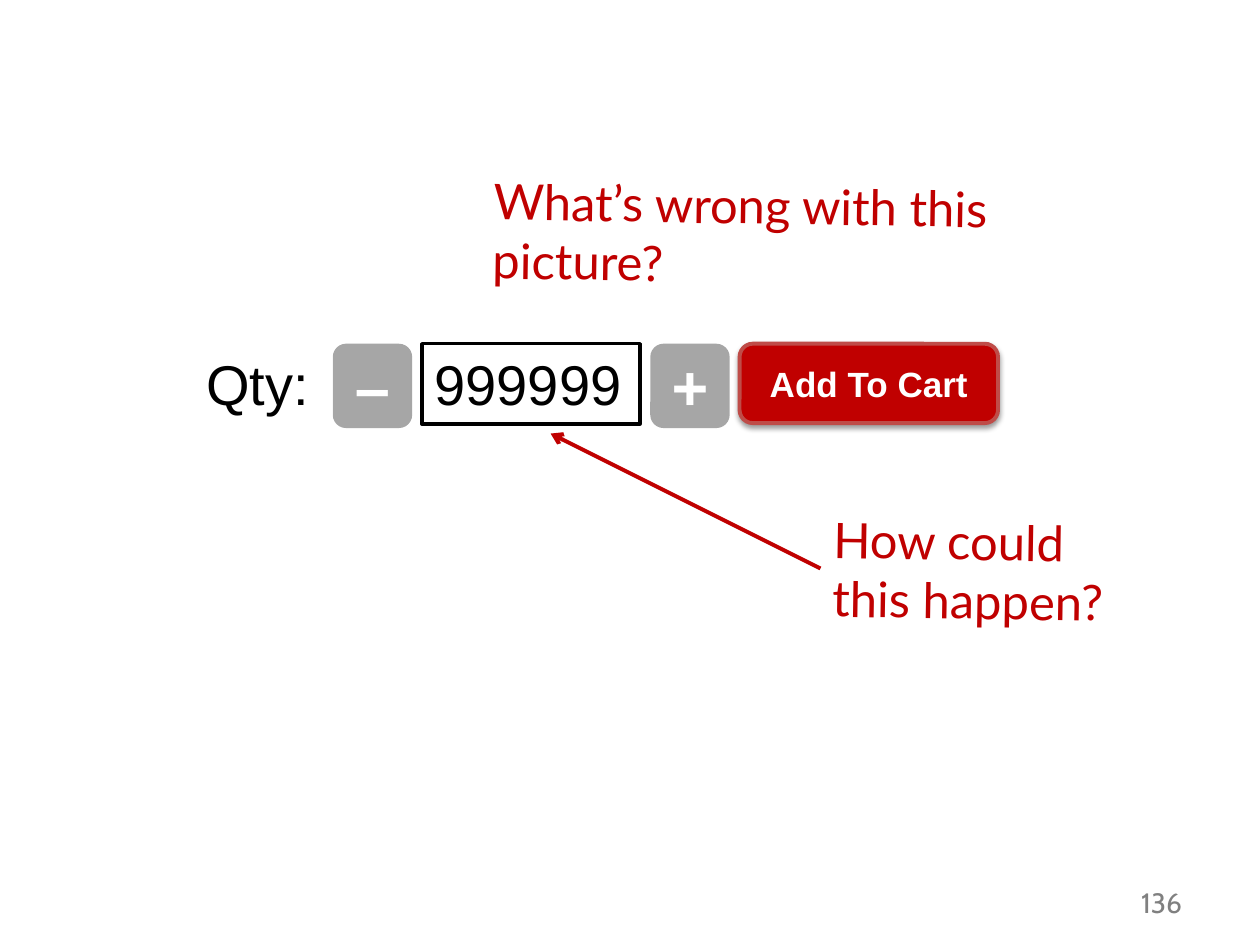
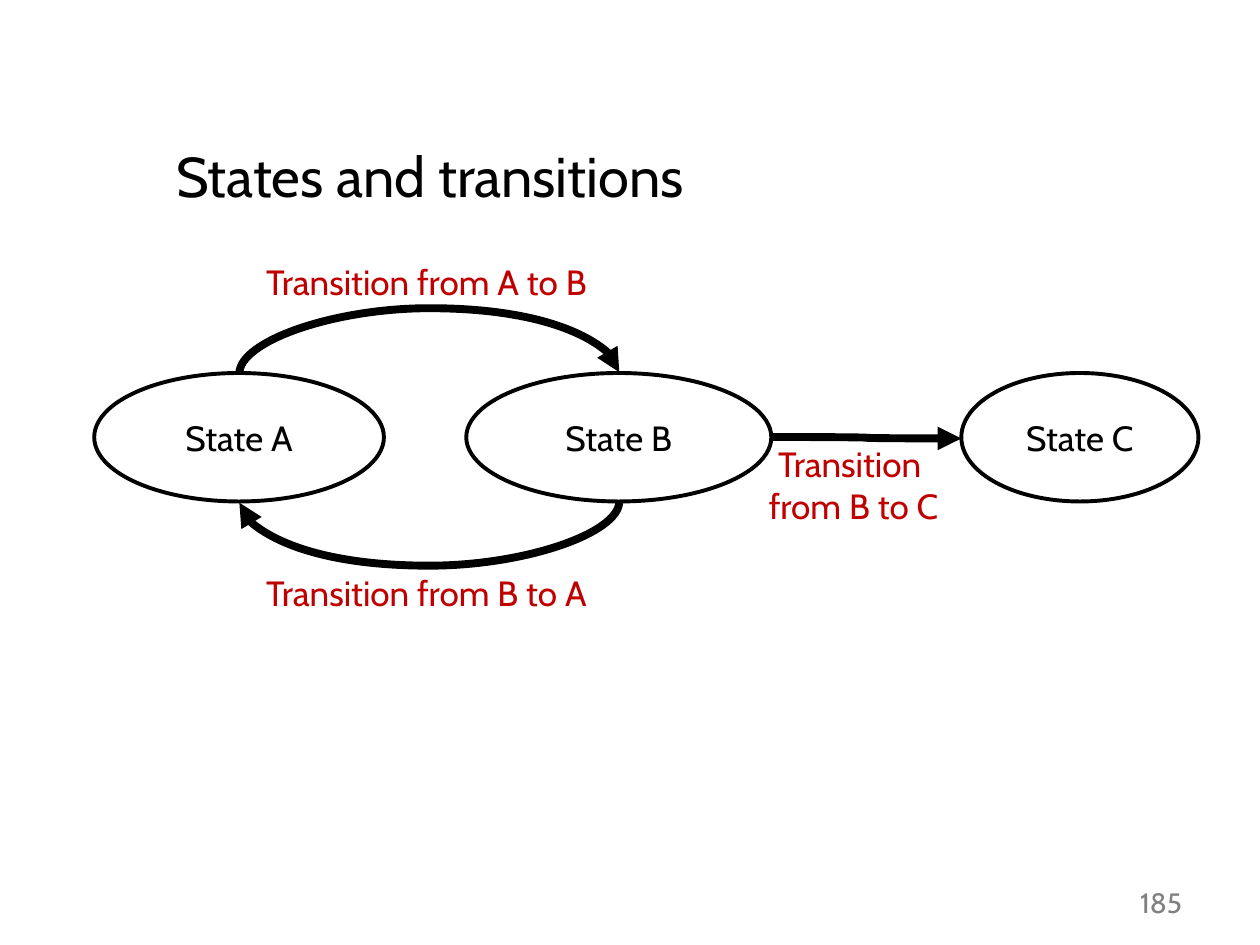
import lxml.etree
import pptx
import pptx.dml.color
import pptx.enum.shapes
import pptx.enum.text
import pptx.oxml.ns
import pptx.util

Cm = pptx.util.Cm
Pt = pptx.util.Pt
qn = pptx.oxml.ns.qn
RGBColor = pptx.dml.color.RGBColor
SHAPE = pptx.enum.shapes.MSO_SHAPE
CONNECTOR = pptx.enum.shapes.MSO_CONNECTOR
ALIGN = pptx.enum.text.PP_ALIGN
ANCHOR = pptx.enum.text.MSO_ANCHOR
AUTO_SIZE = pptx.enum.text.MSO_AUTO_SIZE

BLACK = RGBColor(0x00, 0x00, 0x00)
WHITE = RGBColor(0xFF, 0xFF, 0xFF)
RED = RGBColor(0xC0, 0x00, 0x00)
BUTTON_EDGE = RGBColor(0xBF, 0x4C, 0x48)
BUTTON_GREY = RGBColor(0xA6, 0xA6, 0xA6)
NUMBER_GREY = RGBColor(0x80, 0x80, 0x80)


def write(shape, text, font, size, color, align=ALIGN.LEFT, anchor=ANCHOR.TOP, grow=True, inset=True, bold=False):
    frame = shape.text_frame
    frame.word_wrap = True
    frame.vertical_anchor = anchor
    frame.auto_size = AUTO_SIZE.SHAPE_TO_FIT_TEXT if grow else AUTO_SIZE.NONE
    if not inset:
        frame.margin_left = frame.margin_right = frame.margin_top = frame.margin_bottom = 0
    paragraph = frame.paragraphs[0]
    paragraph.text = text
    paragraph.alignment = align
    paragraph.font.name = font
    paragraph.font.size = Pt(size)
    paragraph.font.bold = bold
    paragraph.font.color.rgb = color


def add_arrow(slide, kind, start, end, color, width, head):
    connector = slide.shapes.add_connector(kind, *[Cm(value) for value in start + end])
    connector.line.color.rgb = color
    connector.line.width = Pt(width)
    line = connector.line._get_or_add_ln()
    lxml.etree.SubElement(line, qn("a:tailEnd"), type=head)
    lxml.etree.SubElement(connector._element.spPr, qn("a:effectLst"))
    return connector


presentation = pptx.Presentation()
presentation.slide_width = Cm(25.4)
presentation.slide_height = Cm(19.05)

slides = []
for number in ("136", "185"):
    slide = presentation.slides.add_slide(presentation.slide_layouts[6])
    number_box = slide.shapes.add_textbox(Cm(21.49), Cm(17.73), Cm(2.59), Cm(0.94))
    write(number_box, number, "Cabin", 16, NUMBER_GREY, ALIGN.RIGHT)
    slides.append(slide)
cart_slide, state_slide = slides

for question, left, top, width, height in (
    ("How could this happen?", 16.54, 10.19, 6.48, 2.64),
    ("What’s wrong with this picture?", 9.7, 3.43, 12.98, 1.45),
):
    question_box = cart_slide.shapes.add_textbox(Cm(left), Cm(top), Cm(width), Cm(height))
    question_box.rotation = 1
    write(question_box, question, "Lato", 28, RED)

add_arrow(cart_slide, CONNECTOR.STRAIGHT, (16.54, 11.46), (11.1, 8.74), RED, 2.25, "arrow")

cart_row = cart_slide.shapes.add_group_shape()
ROW_TOP = 6.93
for sign, left in (("+", 13.11), ("–", 6.71)):
    step_button = cart_row.shapes.add_shape(SHAPE.ROUNDED_RECTANGLE, Cm(left), Cm(ROW_TOP), Cm(1.6), Cm(1.7))
    step_button.shadow.inherit = False
    step_button.fill.solid()
    step_button.fill.fore_color.rgb = BUTTON_GREY
    step_button.line.fill.background()
    write(step_button, sign, "Arial", 36, WHITE, ALIGN.CENTER, inset=False, bold=True)

for text, left, width, outlined in (("999999", 8.51, 4.39, True), ("Qty:", 3.91, 2.79, False)):
    field = cart_row.shapes.add_shape(SHAPE.RECTANGLE, Cm(left), Cm(ROW_TOP), Cm(width), Cm(1.62))
    field.shadow.inherit = False
    field.fill.solid()
    field.fill.fore_color.rgb = WHITE
    if outlined:
        field.line.color.rgb = BLACK
        field.line.width = Pt(2)
    else:
        field.line.fill.background()
    write(field, text, "Arial", 32, BLACK)

cart_button = cart_row.shapes.add_shape(SHAPE.ROUNDED_RECTANGLE, Cm(14.91), Cm(ROW_TOP), Cm(5.21), Cm(1.6))
cart_button.fill.solid()
cart_button.fill.fore_color.rgb = RED
cart_button.line.color.rgb = BUTTON_EDGE
cart_button.line.width = Pt(2.25)
cart_button.shadow.inherit = False
effects = cart_button._element.spPr.find(qn("a:effectLst"))
shadow = lxml.etree.SubElement(
    effects, qn("a:outerShdw"), blurRad=str(Pt(3.1)), dist=str(Pt(1.6)), dir="5400000", rotWithShape="0"
)
shadow_color = lxml.etree.SubElement(shadow, qn("a:srgbClr"), val=str(BLACK))
lxml.etree.SubElement(shadow_color, qn("a:alpha"), val="38000")
write(cart_button, "Add To Cart", "Arial", 20, WHITE, ALIGN.CENTER, ANCHOR.MIDDLE, grow=False, bold=True)

states = {}
for name, left, width in (("A", 1.9, 5.84), ("B", 9.4, 6.15), ("C", 19.38, 4.78)):
    state = state_slide.shapes.add_shape(SHAPE.OVAL, Cm(left), Cm(7.52), Cm(width), Cm(2.59))
    state.shadow.inherit = False
    state.fill.solid()
    state.fill.fore_color.rgb = WHITE
    state.line.color.rgb = BLACK
    state.line.width = Pt(2.25)
    write(state, f"State {name}", "Cabin", 20, BLACK, ALIGN.CENTER, ANCHOR.MIDDLE, grow=False)
    states[name] = state

title = state_slide.shapes.add_textbox(Cm(3.3), Cm(2.72), Cm(14.81), Cm(1.63))
write(title, "States and transitions", "Cabin", 32, BLACK)

for text, left, top, height in (
    ("Transition from A to B", 4.7, 5.26, 1.07),
    ("Transition from B to A", 4.7, 11.53, 1.07),
    ("Transition \vfrom B to C", 13.31, 8.92, 2.01),
):
    label = state_slide.shapes.add_textbox(Cm(left), Cm(top), Cm(7.8), Cm(height))
    write(label, text, "Cabin", 20, RED, ALIGN.CENTER, grow=False, inset=False)

TOP_SITE, LEFT_SITE, BOTTOM_SITE, RIGHT_SITE = 0, 2, 4, 6
QUARTER_TURN = {"rot": "5400000"}
HALF_FLIP = {"flipH": "1", "flipV": "1"}
for source, source_site, target, target_site, start, end, turn, bend in (
    ("A", TOP_SITE, "B", TOP_SITE, (8.64, 3.69), (8.67, 11.35), QUARTER_TURN | HALF_FLIP, 4400000),
    ("B", BOTTOM_SITE, "A", BOTTOM_SITE, (8.64, 6.29), (8.67, 13.95), QUARTER_TURN, 4333000),
    ("B", RIGHT_SITE, "C", LEFT_SITE, (15.55, 8.81), (19.38, 8.84), {}, 50000),
):
    transition = add_arrow(state_slide, CONNECTOR.CURVE, start, end, BLACK, 4.5, "triangle")
    ends = transition._element.nvCxnSpPr.cNvCxnSpPr
    for tag, name, site in (("a:stCxn", source, source_site), ("a:endCxn", target, target_site)):
        lxml.etree.SubElement(ends, qn(tag), id=str(states[name].shape_id), idx=str(site))
    properties = transition._element.spPr
    for key, value in turn.items():
        properties.find(qn("a:xfrm")).set(key, value)
    adjustments = properties.find(qn("a:prstGeom")).find(qn("a:avLst"))
    lxml.etree.SubElement(adjustments, qn("a:gd"), name="adj1", fmla=f"val {bend}")

presentation.save("out.pptx")
